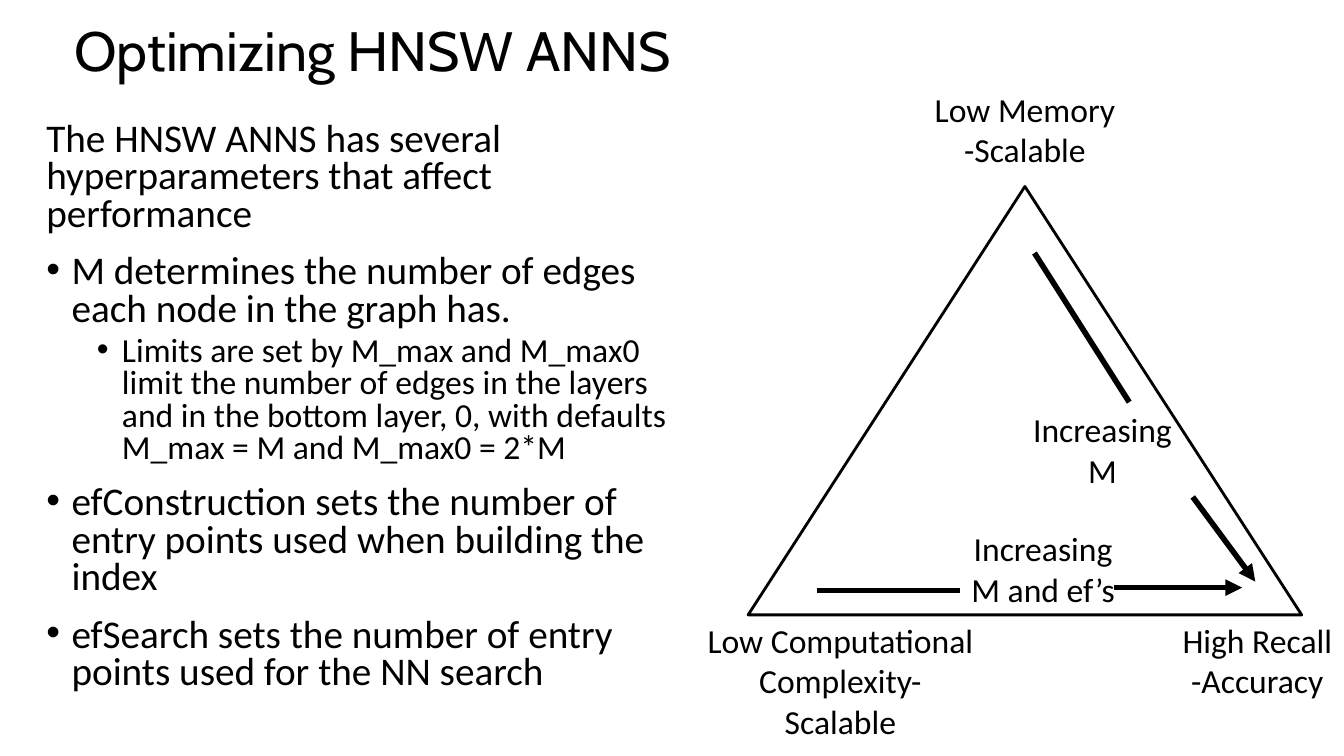
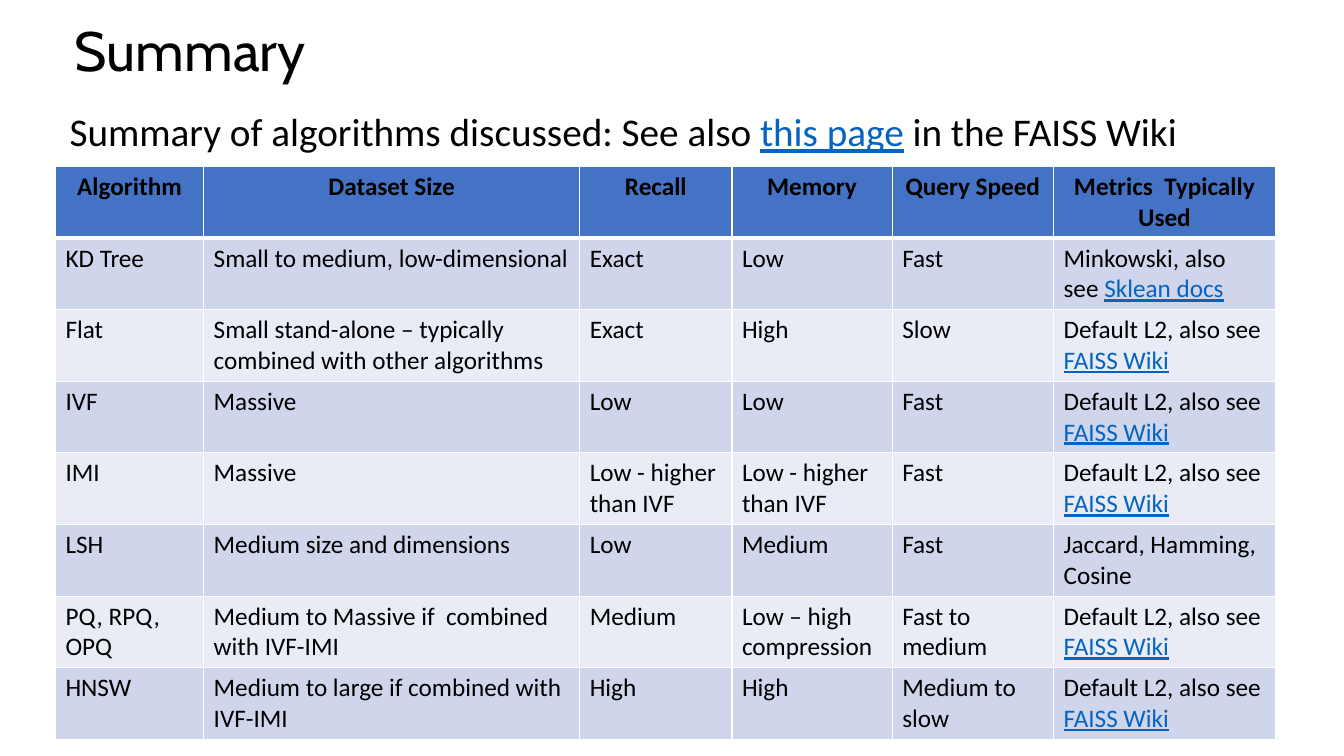
import dataclasses

import pptx
import pptx.dml.color
import pptx.enum.shapes
import pptx.enum.text
import pptx.oxml
import pptx.oxml.ns
import pptx.util

Inches = pptx.util.Inches
Pt = pptx.util.Pt
RGB = pptx.dml.color.RGBColor.from_string
SHAPE = pptx.enum.shapes.MSO_SHAPE
ALIGN = pptx.enum.text.PP_ALIGN
ANCHOR = pptx.enum.text.MSO_ANCHOR
NO_FIT = pptx.enum.text.MSO_AUTO_SIZE.NONE


@dataclasses.dataclass(frozen=True)
class Theme:
    ink: str = "000000"
    link: str = "0563C1"
    grid: str = "FFFFFF"
    header: str = "4472C4"
    bands: tuple = ("CFD5EA", "E9EBF5")
    title_font: str = "Cabin"
    text_font: str = "Calibri"
    title_size: float = 39.6
    body_size: int = 28
    small_size: int = 24
    table_size: int = 18


THEME = Theme()
TITLE_BOX = (0.64, 0.24, 11.5, 0.58)

# Content: hyperparameters, as (depth, text); depth None is an unbulleted lead
TUNING_TITLE = "Optimizing HNSW ANNS"
TUNING_BOX = (0.36, 1.16, 6.64, 6.04)
TUNING = [
    (None, "The HNSW ANNS has several hyperparameters that affect performance"),
    (0, "M determines the number of edges each node in the graph has."),
    (1, "Limits are set by M_max and M_max0 limit the number of edges in the layers "
        "and in the bottom layer, 0, with defaults M_max = M and M_max0 = 2*M"),
    (0, "efConstruction sets the number of entry points used when building the index"),
    (0, "efSearch sets the number of entry points used for the NN search"),
]

# Content: trade-off triangle
TRIANGLE_BOX = (7.42, 1.85, 5.49, 4.25)
TRIANGLE_LABELS = [
    ("Low Memory -Scalable", (9.14, 0.83, 2.05, 0.91)),
    ("Low Computational Complexity-Scalable", (6.88, 6.1, 2.91, 1.31)),
    ("High Recall -Accuracy", (11.61, 6.1, 1.72, 0.91)),
    ("Increasing M", (10.08, 4.01, 1.71, 0.91)),
    ("Increasing M and ef’s", (9.49, 5.19, 1.71, 0.91)),
]
# Start, end, arrowhead
TRADE_OFFS = [
    ((10.26, 2.51), (11.2, 3.99), False),
    ((11.83, 4.93), (12.45, 5.77), True),
    ((8.1, 5.86), (9.52, 5.86), False),
    ((11.05, 5.83), (12.32, 5.83), True),
]

# Content: summary; in a tuple every second piece is styled as a link
SUMMARY_TITLE = "Summary"
SUMMARY_BOX = (0.59, 1.07, 12.04, 0.58)
SUMMARY_LEAD = ("Summary of algorithms discussed: See also ", "this page",
                " in the FAISS Wiki")
DEFAULT_METRIC = ("Default L2, also see ", "FAISS Wiki")
TABLE_ORIGIN = (0.55, 1.65)
COLUMN_WIDTHS = (1.47, 3.73, 1.51, 1.59, 1.6, 2.2)
HEADER_HEIGHT, ROW_HEIGHT = 0.42, 0.56
ALGORITHMS = [
    ("Algorithm", "Dataset Size", "Recall", "Memory", "Query Speed",
     "Metrics  Typically Used"),
    ("KD Tree", "Small to medium, low-dimensional", "Exact", "Low", "Fast",
     ("Minkowski, also see ", "Sklean docs")),
    ("Flat", "Small stand-alone – typically combined with other algorithms",
     "Exact", "High", "Slow", DEFAULT_METRIC),
    ("IVF", "Massive", "Low", "Low", "Fast", DEFAULT_METRIC),
    ("IMI", "Massive", "Low - higher than IVF", "Low - higher than IVF", "Fast",
     DEFAULT_METRIC),
    ("LSH", "Medium size and dimensions", "Low", "Medium", "Fast",
     "Jaccard, Hamming, Cosine"),
    ("PQ, RPQ, OPQ", "Medium to Massive if  combined with IVF-IMI", "Medium",
     "Low – high compression", "Fast to medium", DEFAULT_METRIC),
    ("HNSW", "Medium to large if combined with IVF-IMI", "High", "High",
     "Medium to slow", DEFAULT_METRIC),
]


def add_xml(parent, tag, **attributes):
    child = pptx.oxml.parse_xml(f"<a:{tag} {pptx.oxml.ns.nsdecls('a')}/>")
    for key, value in attributes.items():
        child.set(key, str(value))
    parent.append(child)
    return child


def add_text(paragraph, text, size, font=THEME.text_font, bold=False):
    pieces = (text,) if isinstance(text, str) else text
    for index, piece in enumerate(pieces):
        linked = index % 2 == 1
        run = paragraph.add_run()
        run.text = piece
        run.font.name = font
        run.font.size = Pt(size)
        run.font.bold = bold
        run.font.underline = linked
        run.font.color.rgb = RGB(THEME.link if linked else THEME.ink)


def place(shape, box):
    shape.left, shape.top, shape.width, shape.height = map(Inches, box)


def start_slide(deck, title, body_box):
    """Add a slide with the shared title style; return it and its body frame."""
    slide = deck.slides.add_slide(deck.slide_layouts[1])
    heading, body = slide.placeholders
    place(heading, TITLE_BOX)
    place(body, body_box)
    for holder in (heading, body):
        holder.text_frame.word_wrap = True
        holder.text_frame.auto_size = NO_FIT
    heading.text_frame.vertical_anchor = ANCHOR.MIDDLE
    paragraph = heading.text_frame.paragraphs[0]
    paragraph.alignment = ALIGN.LEFT
    paragraph.line_spacing = 0.9
    add_text(paragraph, title, THEME.title_size, THEME.title_font)
    return slide, body.text_frame


def fill_body(frame, items, line_spacing):
    for index, (depth, text) in enumerate(items):
        paragraph = frame.add_paragraph() if index else frame.paragraphs[0]
        nested = depth == 1
        paragraph.level = depth or 0
        paragraph.line_spacing = line_spacing
        paragraph.space_before = Pt(0 if index == 0 else 5 if nested else 14)
        properties = paragraph._p.get_or_add_pPr()
        if depth is None:
            margin, hanging = 0, 0
            add_xml(properties, "buNone")
        else:
            margin, hanging = 0.25 + 0.5 * depth, -0.25
            add_xml(properties, "buFont", typeface="Arial")
            add_xml(properties, "buChar", char="•")
        properties.set("marL", str(Inches(margin)))
        properties.set("indent", str(Inches(hanging)))
        add_text(paragraph, text, THEME.small_size if nested else THEME.body_size)


def add_label(slide, text, box):
    frame = slide.shapes.add_textbox(*map(Inches, box)).text_frame
    frame.word_wrap = True
    frame.paragraphs[0].alignment = ALIGN.CENTER
    add_text(frame.paragraphs[0], text, THEME.small_size)


def add_trade_off(slide, start, end, arrowhead):
    line = slide.shapes.add_connector(
        pptx.enum.shapes.MSO_CONNECTOR.STRAIGHT, *map(Inches, start + end))
    line.line.color.rgb = RGB(THEME.ink)
    line.line.width = Pt(4)
    if arrowhead:
        add_xml(line.line._get_or_add_ln(), "tailEnd", type="triangle")
    add_xml(line._element.spPr, "effectLst")


def set_borders(cell, top, bottom):
    properties = cell._tc.get_or_add_tcPr()
    for side, width in (("L", 1), ("R", 1), ("T", top), ("B", bottom)):
        border = add_xml(properties, f"ln{side}", w=Pt(width))
        add_xml(add_xml(border, "solidFill"), "srgbClr", val=THEME.grid)


def add_algorithm_table(slide):
    heights = [HEADER_HEIGHT] + [ROW_HEIGHT] * (len(ALGORITHMS) - 1)
    size = (sum(COLUMN_WIDTHS), sum(heights))
    table = slide.shapes.add_table(
        len(heights), len(COLUMN_WIDTHS), *map(Inches, TABLE_ORIGIN + size)).table
    for column, width in zip(table.columns, COLUMN_WIDTHS):
        column.width = Inches(width)
    for row, height in zip(table.rows, heights):
        row.height = Inches(height)
    for row_index, values in enumerate(ALGORITHMS):
        is_header = row_index == 0
        color = THEME.header if is_header else THEME.bands[(row_index - 1) % 2]
        for column_index, value in enumerate(values):
            cell = table.cell(row_index, column_index)
            set_borders(cell, 3 if row_index == 1 else 1, 3 if is_header else 1)
            cell.fill.solid()
            cell.fill.fore_color.rgb = RGB(color)
            paragraph = cell.text_frame.paragraphs[0]
            paragraph.alignment = ALIGN.CENTER if is_header else ALIGN.LEFT
            add_text(paragraph, value, THEME.table_size, bold=is_header)


def build_tuning(deck):
    slide, body = start_slide(deck, TUNING_TITLE, TUNING_BOX)
    fill_body(body, TUNING, 0.8)
    # Trade-off triangle
    triangle = slide.shapes.add_shape(
        SHAPE.ISOSCELES_TRIANGLE, *map(Inches, TRIANGLE_BOX))
    triangle.shadow.inherit = False
    triangle.fill.background()
    triangle.line.color.rgb = RGB(THEME.ink)
    triangle.line.width = Pt(2)
    for text, box in TRIANGLE_LABELS:
        add_label(slide, text, box)
    for start, end, arrowhead in TRADE_OFFS:
        add_trade_off(slide, start, end, arrowhead)


def build_summary(deck):
    slide, body = start_slide(deck, SUMMARY_TITLE, SUMMARY_BOX)
    fill_body(body, [(None, SUMMARY_LEAD)], 0.9)
    add_algorithm_table(slide)


def main():
    deck = pptx.Presentation()
    deck.slide_width, deck.slide_height = Inches(13.33), Inches(7.5)
    build_tuning(deck)
    build_summary(deck)
    deck.save("out.pptx")


if __name__ == "__main__":
    main()
